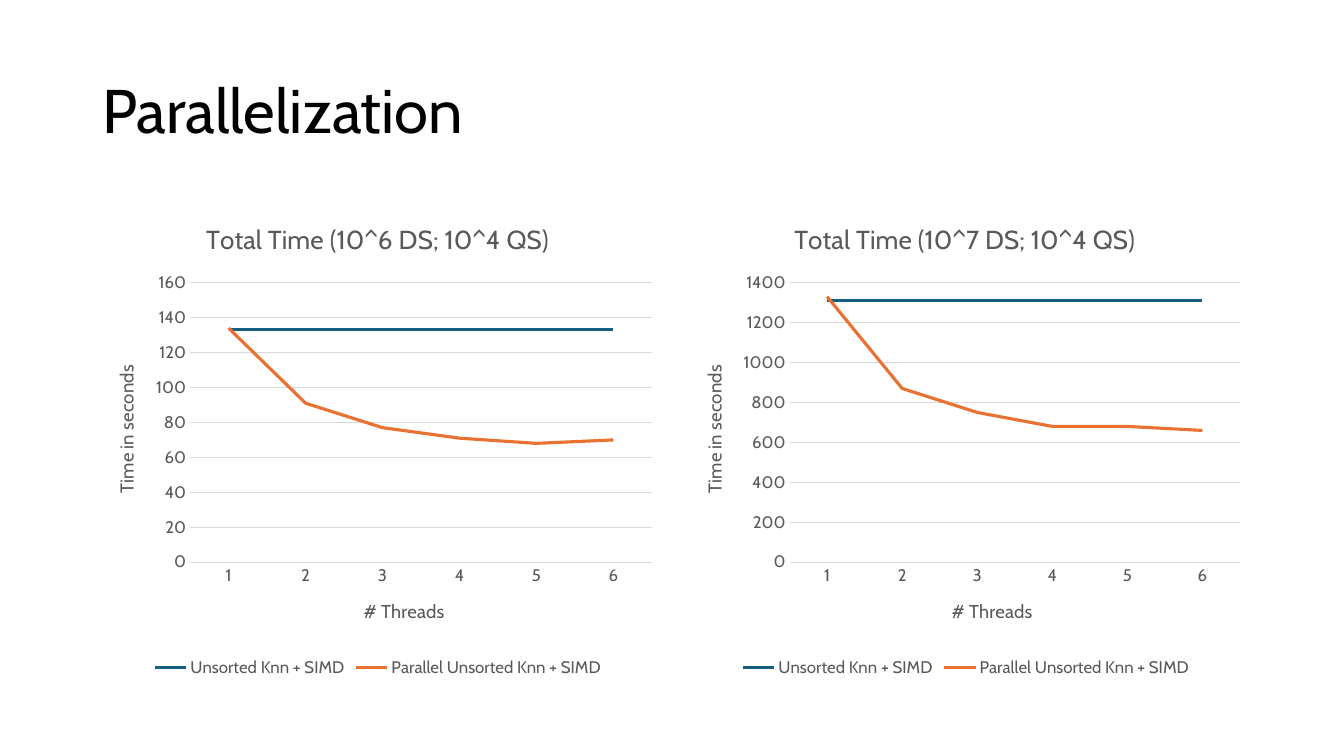
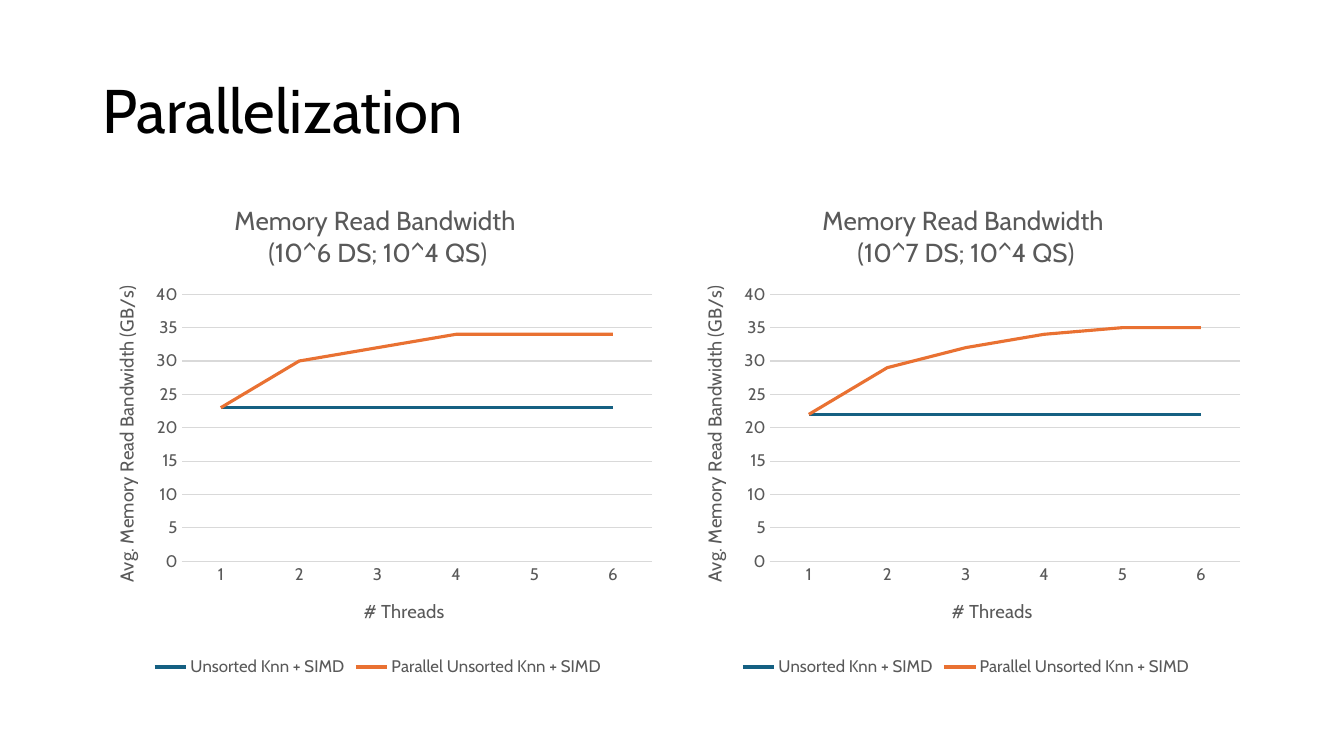
import pptx
import pptx.chart.data
import pptx.dml.color
import pptx.enum.chart
import pptx.enum.text
import pptx.oxml
import pptx.oxml.ns
import pptx.util

Cm = pptx.util.Cm
Pt = pptx.util.Pt
enum = pptx.enum.chart


class Deck:
    hues = {"ink": "000000", "gray": "595959", "grid": "D9D9D9",
            "blue": "156082", "red": "E97132"}
    face = "Cabin"
    lines = [("Unsorted Knn + SIMD", "blue"),
             ("Parallel Unsorted Knn + SIMD", "red")]

    def __init__(self):
        self.deck = pptx.Presentation()
        self.put(self.deck, slide_width=Cm(33.87), slide_height=Cm(19.05))
        self.slide = None

    def put(self, item, **values):
        for name, value in values.items():
            setattr(item, name, value)

    def hue(self, name):
        return pptx.dml.color.RGBColor.from_string(self.hues[name])

    def font(self, font, size, color="gray"):
        self.put(font, name=self.face, size=Pt(size), bold=False)
        font.color.rgb = self.hue(color)

    def line(self, line, color, width):
        line.color.rgb = self.hue(color)
        line.width = Pt(width)

    def place(self, node, index, **sides):
        qn = pptx.oxml.ns.qn
        old = node.find(qn("c:layout"))
        if old is not None:
            node.remove(old)
        inner = '<c:layoutTarget val="inner"/>' if "w" in sides else ""
        modes = "".join(f'<c:{side}Mode val="edge"/>' for side in "xy")
        spots = "".join(f'<c:{side} val="{value / 100:.3f}"/>'
                        for side, value in sides.items())
        node.insert(index, pptx.oxml.parse_xml(
            f'<c:layout {pptx.oxml.ns.nsdecls("c")}><c:manualLayout>'
            f'{inner}{modes}{spots}</c:manualLayout></c:layout>'))

    def page(self, title):
        self.slide = self.deck.slides.add_slide(self.deck.slide_layouts[6])
        box = self.slide.shapes.add_textbox(
            Cm(2.33), Cm(1.01), Cm(29.21), Cm(3.68))
        self.put(box.text_frame, word_wrap=True, text=title,
                 vertical_anchor=pptx.enum.text.MSO_ANCHOR.MIDDLE)
        para = box.text_frame.paragraphs[0]
        para.line_spacing = 0.9
        self.font(para.runs[0].font, 44, "ink")

    def label(self, title, text, size, x, y):
        frame = title.text_frame
        frame.text = text
        for para in frame.paragraphs:
            para.alignment = pptx.enum.text.PP_ALIGN.CENTER
            self.font(para.font, size)
            for run in para.runs:
                self.font(run.font, size)
        self.place(title._element, 1, x=x, y=y)
        return frame

    def axis(self, axis):
        self.put(axis, major_tick_mark=enum.XL_TICK_MARK.NONE,
                 minor_tick_mark=enum.XL_TICK_MARK.NONE, has_title=True)
        self.font(axis.tick_labels.font, 12)

    def chart(self, left, top, high, title, unit, rows, scale, spots):
        data = pptx.chart.data.CategoryChartData()
        data.categories = [str(count) for count in range(1, 7)]
        for (name, _), row in zip(self.lines, rows):
            data.add_series(name, row)
        chart = self.slide.shapes.add_chart(
            enum.XL_CHART_TYPE.LINE, Cm(left), Cm(top), Cm(14.39), Cm(high),
            data).chart
        self.font(chart.font, 10, "ink")
        self.put(chart, has_title=True, has_legend=True)
        self.label(chart.chart_title, title, 18.6, *spots["title"])

        base, rise = chart.category_axis, chart.value_axis
        self.axis(base)
        self.line(base.format.line, "grid", 0.75)
        self.label(base.axis_title, "# Threads", 13.3, *spots["base"])
        self.axis(rise)
        peak, step = scale
        self.put(rise, minimum_scale=0, maximum_scale=peak, major_unit=step,
                 has_major_gridlines=True)
        rise.format.line.fill.background()
        self.line(rise.major_gridlines.format.line, "grid", 0.75)
        frame = self.label(rise.axis_title, unit, 13.3, *spots["rise"])
        body = frame._txBody.find(pptx.oxml.ns.qn("a:bodyPr"))
        for key, value in {"rot": "-5400000", "vert": "horz"}.items():
            body.set(key, value)

        self.put(chart.legend, position=enum.XL_LEGEND_POSITION.BOTTOM,
                 include_in_layout=False)
        self.font(chart.legend.font, 12)
        plot = chart.plots[0]
        plot.vary_by_categories = False
        for series, (_, color) in zip(plot.series, self.lines):
            series.smooth = False
            self.line(series.format.line, color, 2.25)
        x, y, h = spots["plot"]
        area = chart._chartSpace.chart.plotArea
        self.place(area, 0, x=x, y=y, w=98 - x, h=h)


def main():
    deck = Deck()
    pages = [
        {"top": 5.08, "high": 12.1, "unit": "Time in seconds",
         "head": "Total Time (10^{} DS; 10^4 QS)",
         "title": (19.1, 3), "base": (46.9, 82), "rise": (3.1, 33.3),
         "plot": (16.9, 58.2),
         "charts": [
             (17.1, (160, 20), 133, [134, 91, 77, 71, 68, 70]),
             (19.1, (1400, 200), 1310, [1330, 870, 750, 680, 680, 660])]},
        {"top": 4.7, "high": 12.46,
         "unit": "Avg. Memory Read Bandwidth (GB/s)",
         "head": "Memory Read Bandwidth \n(10^{} DS; 10^4 QS)",
         "title": (24.3, 2.8), "base": (46.9, 82.7), "rise": (3.1, 19.3),
         "plot": (21.8, 54),
         "charts": [
             (15.6, (40, 5), 23, [23, 30, 32, 34, 34, 34]),
             (15.6, (40, 5), 22, [22, 29, 32, 34, 35, 35])]},
    ]
    for page in pages:
        deck.page("Parallelization")
        for index, (x, scale, flat, curve) in enumerate(page["charts"]):
            spots = {key: page[key] for key in ("title", "base", "rise")}
            spots["plot"] = (x, *page["plot"])
            deck.chart(2.33 + index * 14.82, page["top"], page["high"],
                       page["head"].format(6 + index), page["unit"],
                       [[flat] * 6, curve], scale, spots)
    deck.deck.save("out.pptx")


if __name__ == "__main__":
    main()
